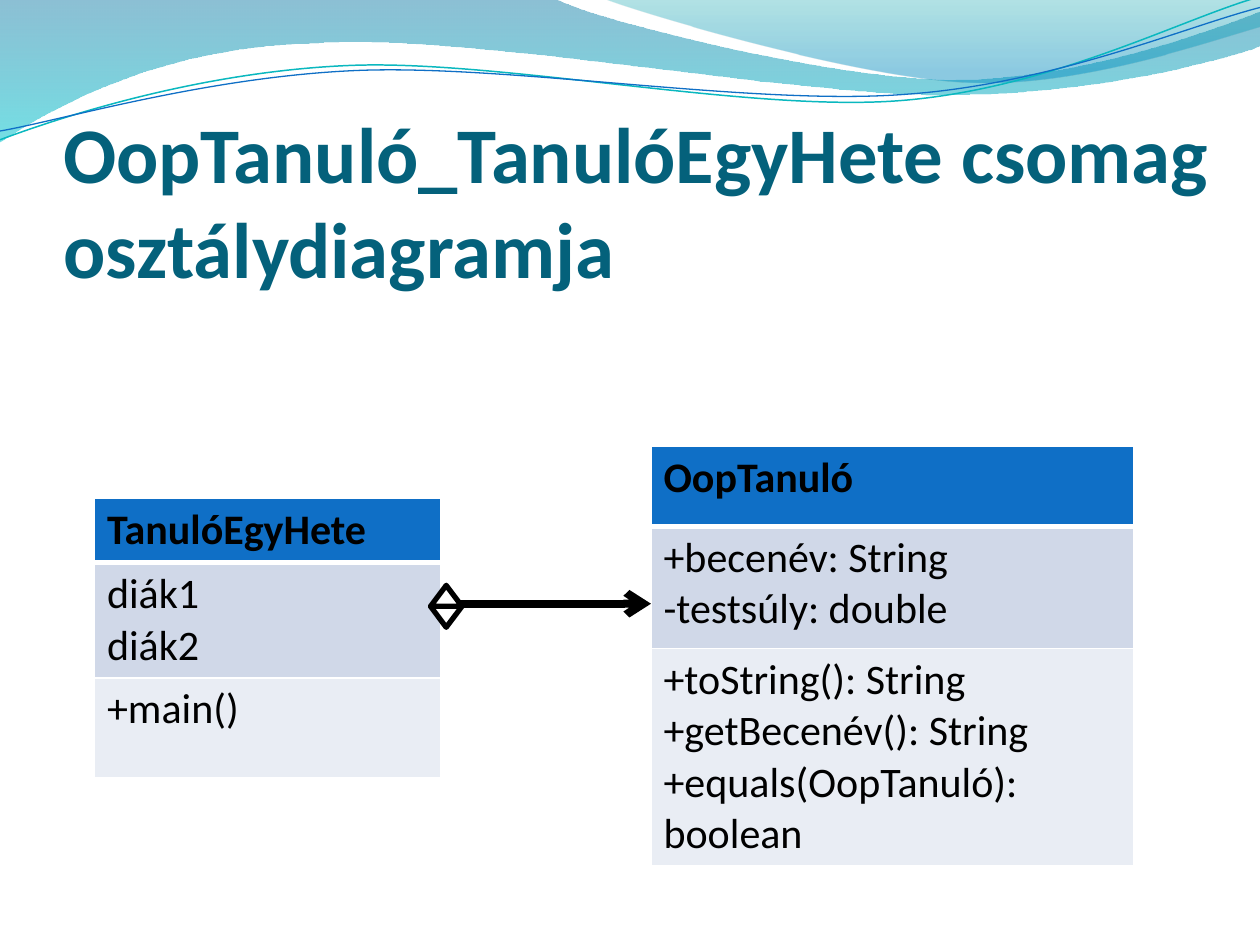
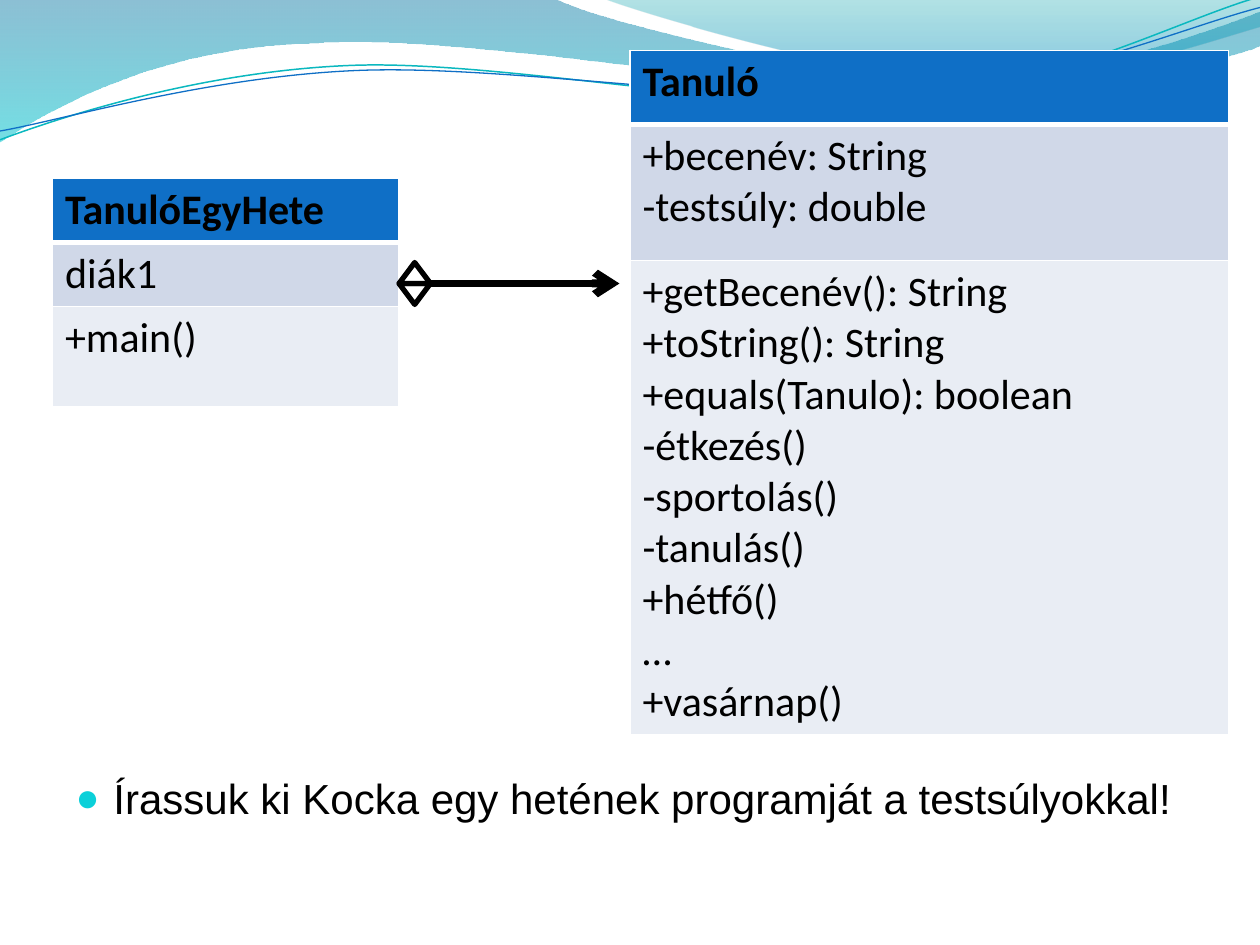
import math

from lxml import etree
from pptx import Presentation
from pptx.dml.color import RGBColor
from pptx.enum.shapes import MSO_CONNECTOR, MSO_SHAPE
from pptx.enum.text import MSO_ANCHOR, MSO_AUTO_SIZE, PP_ALIGN
from pptx.oxml.ns import qn
from pptx.util import Inches, Pt

STRAIGHT = MSO_CONNECTOR.STRAIGHT
TRIANGLE = MSO_SHAPE.ISOSCELES_TRIANGLE
BOTTOM, TOP = MSO_ANCHOR.BOTTOM, MSO_ANCHOR.TOP
NO_FIT = MSO_AUTO_SIZE.NONE
LEFT = PP_ALIGN.LEFT

BLACK = RGBColor(0x00, 0x00, 0x00)
WHITE = RGBColor(0xFF, 0xFF, 0xFF)
TITLE_TEAL = RGBColor(0x04, 0x61, 0x7B)
BULLET_CYAN = RGBColor(0x0B, 0xD0, 0xD9)
BLUE = RGBColor(0x0F, 0x6F, 0xC6)
TEAL = RGBColor(0x0A, 0xB8, 0xBF)
DEEP_BLUE = RGBColor(0x00, 0x74, 0xA1)
TURQUOISE = RGBColor(0x00, 0xC6, 0xCF)
SEA_GREEN = RGBColor(0x00, 0xA1, 0xA9)
SKY_BLUE = RGBColor(0x00, 0x8B, 0xBF)
SECTION_FILLS = [BLUE, RGBColor(0xD0, 0xD8, 0xE8), RGBColor(0xE9, 0xED, 0xF4)]

CELL = Inches(10) / 120
RIPPLE_TURN = 357.3

BANDS = [
    ((0, 0),
     [(4.4, -0.01), (4.76, 0.17, 6.64, 0.63, 7.58, 0.63), (8.53, 0.63, 9.58, 0.26, 10, 0.09),
      (10.01, 0.36), (9.83, 0.44, 8.7, 0.76, 7.46, 0.75), (6.22, 0.75, 3.82, 0.28, 2.57, 0.34),
      (1.29, 0.36, 0.46, 0.83, -0.01, 1.13), (0, 0)],
     [(0, DEEP_BLUE, 45), (1, TURQUOISE, 55)]),
    ((4.79, -0.01),
     [(5.09, 0.11, 6.82, 0.62, 7.69, 0.65), (8.56, 0.69, 9.61, 0.32, 10, 0.21), (10, 0),
      (4.79, -0.01)],
     [(0, SEA_GREEN, 30), (0.8, SKY_BLUE, 45)]),
]
RIPPLES = [
    ((0, 1.11),
     [(0.48, 0.93, 1.58, 0.57, 2.77, 0.52), (3.95, 0.47, 5.93, 0.89, 7.13, 0.8),
      (8.33, 0.71, 9.38, 0.15, 9.98, -0.02)], TEAL, 0.85),
    ((0, 1.04),
     [(0.47, 0.96, 1.64, 0.61, 2.83, 0.56), (4.03, 0.51, 5.97, 0.84, 7.17, 0.75),
      (8.36, 0.67, 9.41, 0.21, 10, 0.06)], BLUE, 0.75),
]


def grid(*cells):
    return [round(cell * CELL) for cell in cells]


def add_xml(parent, tag, **attributes):
    return etree.SubElement(parent, qn(tag), **attributes)


def add_run(paragraph, text, size, font, color, bold=False):
    run = paragraph.add_run()
    run.text = text
    run.font.size = Pt(size)
    run.font.name = font
    run.font.bold = bold
    run.font.color.rgb = color


def turn(x, y, degrees):
    angle = math.radians(degrees)
    return (x * math.cos(angle) - y * math.sin(angle),
            x * math.sin(angle) + y * math.cos(angle))


def draw_wave(shapes, start, segments, close, degrees=0):
    points = [start]
    for segment in segments:
        points += zip(segment[::2], segment[1::2])
    points = [turn(Inches(x), Inches(y), -degrees) for x, y in points]
    builder = shapes.build_freeform(*points[0])
    builder.add_line_segments(points[1:], close=close)
    wave = builder.convert_to_shape()
    wave.shadow.inherit = False
    steps = iter(wave._element.spPr.findall(".//" + qn("a:lnTo")))
    for segment in segments:
        step = next(steps)
        if len(segment) == 6:
            curve = etree.Element(qn("a:cubicBezTo"))
            step.addprevious(curve)
            for bend in (step, next(steps), next(steps)):
                curve.append(bend[0])
                bend.getparent().remove(bend)
    half_width, half_height = wave.width / 2, wave.height / 2
    x, y = turn(wave.left + half_width, wave.top + half_height, degrees)
    wave.left, wave.top = round(x - half_width), round(y - half_height)
    wave.rotation = degrees
    return wave


def add_waves_to_master(master, slide):
    waves = []
    for start, segments, stops in BANDS:
        band = draw_wave(slide.shapes, start, segments, True)
        band.line.fill.background()
        band.fill.gradient()
        band.fill.gradient_angle = 270
        for stop, (position, color, _) in zip(band.fill.gradient_stops, stops):
            stop.position = position
            stop.color.rgb = color
        tints = band._element.spPr.findall(".//" + qn("a:srgbClr"))
        for tint, (_, _, opacity) in zip(tints, stops):
            add_xml(tint, "a:alpha", val=str(opacity * 1000))
        waves.append(band)
    ripples = slide.shapes.add_group_shape()
    for start, segments, color, width in RIPPLES:
        ripple = draw_wave(ripples.shapes, start, segments, False, RIPPLE_TURN)
        ripple.fill.background()
        ripple.line.color.rgb = color
        ripple.line.width = Pt(width)
    waves.append(ripples)
    for order, wave in enumerate(waves):
        for offset, identity in enumerate(wave._element.iter(qn("p:cNvPr"))):
            identity.set("id", str(100 + 10 * order + offset))
        master.shapes._spTree.insert(2 + order, wave._element)


def place(placeholder, box, anchor):
    placeholder.left, placeholder.top, placeholder.width, placeholder.height = grid(*box)
    frame = placeholder.text_frame
    frame.word_wrap = True
    frame.auto_size = NO_FIT
    frame.vertical_anchor = anchor
    paragraph = frame.paragraphs[0]
    paragraph.alignment = LEFT
    return frame, paragraph


def add_title(slide, box, text):
    frame, paragraph = place(slide.shapes.title, box, BOTTOM)
    frame.margin_left = frame.margin_right = frame.margin_bottom = 0
    frame.margin_top = Inches(0.05)
    add_run(paragraph, text, 45, "Calibri", TITLE_TEAL, True)


def add_task(slide, box, text):
    _, paragraph = place(slide.placeholders[1], box, TOP)
    paragraph.space_before = Pt(4.8)
    properties = paragraph._p.get_or_add_pPr()
    properties.set("marL", str(Inches(0.3)))
    properties.set("indent", str(-Inches(0.3)))
    add_xml(add_xml(properties, "a:buClr"), "a:srgbClr", val=str(BULLET_CYAN))
    add_xml(properties, "a:buSzPct", val="95000")
    add_xml(properties, "a:buFont", typeface="Arial")
    add_xml(properties, "a:buChar", char="●")
    add_run(paragraph, text, 24, "Arial", BLACK)


def add_borders(cell, top, bottom):
    properties = cell._tc.get_or_add_tcPr()
    for side, width in (("L", 1), ("R", 1), ("T", top), ("B", bottom)):
        border = add_xml(properties, "a:ln" + side, w=str(Pt(width)))
        add_xml(add_xml(border, "a:solidFill"), "a:srgbClr", val=str(WHITE))


def add_class(slide, left, top, width, heights, sections):
    box = grid(left, top, width, sum(heights))
    table = slide.shapes.add_table(len(sections), 1, *box).table
    table.horz_banding = False
    for index, (lines, height, fill) in enumerate(zip(sections, heights, SECTION_FILLS)):
        table.rows[index].height = grid(height)[0]
        cell = table.cell(index, 0)
        add_borders(cell, 3 if index == 1 else 1, 3 if index == 0 else 1)
        cell.fill.solid()
        cell.fill.fore_color.rgb = fill
        frame = cell.text_frame
        for number, line in enumerate(lines):
            paragraph = frame.add_paragraph() if number else frame.paragraphs[0]
            add_run(paragraph, line, 24, "Calibri", BLACK, index == 0)


def add_aggregation(slide, left, right, row, joint):
    arrow = slide.shapes.add_connector(STRAIGHT, *grid(left + 2, row, right, row))
    arrow.line.color.rgb = BLACK
    arrow.line.width = Pt(4.5)
    add_xml(arrow.line._get_or_add_ln(), "a:tailEnd", type="arrow")
    add_xml(arrow._element.spPr, "a:effectLst")
    for top, flipped in ((joint, True), (joint - 2, False)):
        half = slide.shapes.add_shape(TRIANGLE, *grid(left, top, 3, 2))
        half.shadow.inherit = False
        half.fill.solid()
        half.fill.fore_color.rgb = WHITE
        half.line.color.rgb = BLACK
        half.line.width = Pt(3)
        if flipped:
            half._element.spPr.xfrm.set("flipV", "1")


def build_package_slide(slide):
    add_title(slide, (6, 13, 110, 15), "OopTanuló_TanulóEgyHete csomag osztálydiagramja")
    add_class(slide, 9, 47.5, 33, (6, 10.8, 9.5),
              (["TanulóEgyHete"], ["diák1", "diák2"], ["+main()"]))
    add_class(slide, 62, 42.5, 46, (7.65, 11.6, 20.5),
              (["OopTanuló"], ["+becenév: String", "-testsúly: double"],
               ["+toString(): String", "+getBecenév(): String", "+equals(OopTanuló): boolean"]))
    add_aggregation(slide, 41, 62, 57.5, 57.75)


def build_task_slide(slide):
    title = slide.shapes.title._element
    title.getparent().remove(title)
    add_class(slide, 5, 17, 33, (6, 6, 9.6), (["TanulóEgyHete"], ["diák1"], ["+main()"]))
    add_class(slide, 60, 4.8, 57, (7.05, 12.95, 45.2),
              (["Tanuló"], ["+becenév: String", "-testsúly: double"],
               ["+getBecenév(): String", "+toString(): String", "+equals(Tanulo): boolean",
                "-étkezés()", "-sportolás()", "-tanulás()", "+hétfő()", "…", "+vasárnap()"]))
    add_aggregation(slide, 38, 59, 27, 27)
    add_task(slide, (6, 73, 108, 14), "Írassuk ki Kocka egy hetének programját a testsúlyokkal!")


deck = Presentation()
deck.slide_width, deck.slide_height = grid(120, 90)
package_slide = deck.slides.add_slide(deck.slide_layouts[5])
add_waves_to_master(deck.slide_master, package_slide)
build_package_slide(package_slide)
build_task_slide(deck.slides.add_slide(deck.slide_layouts[1]))
deck.save("out.pptx")
